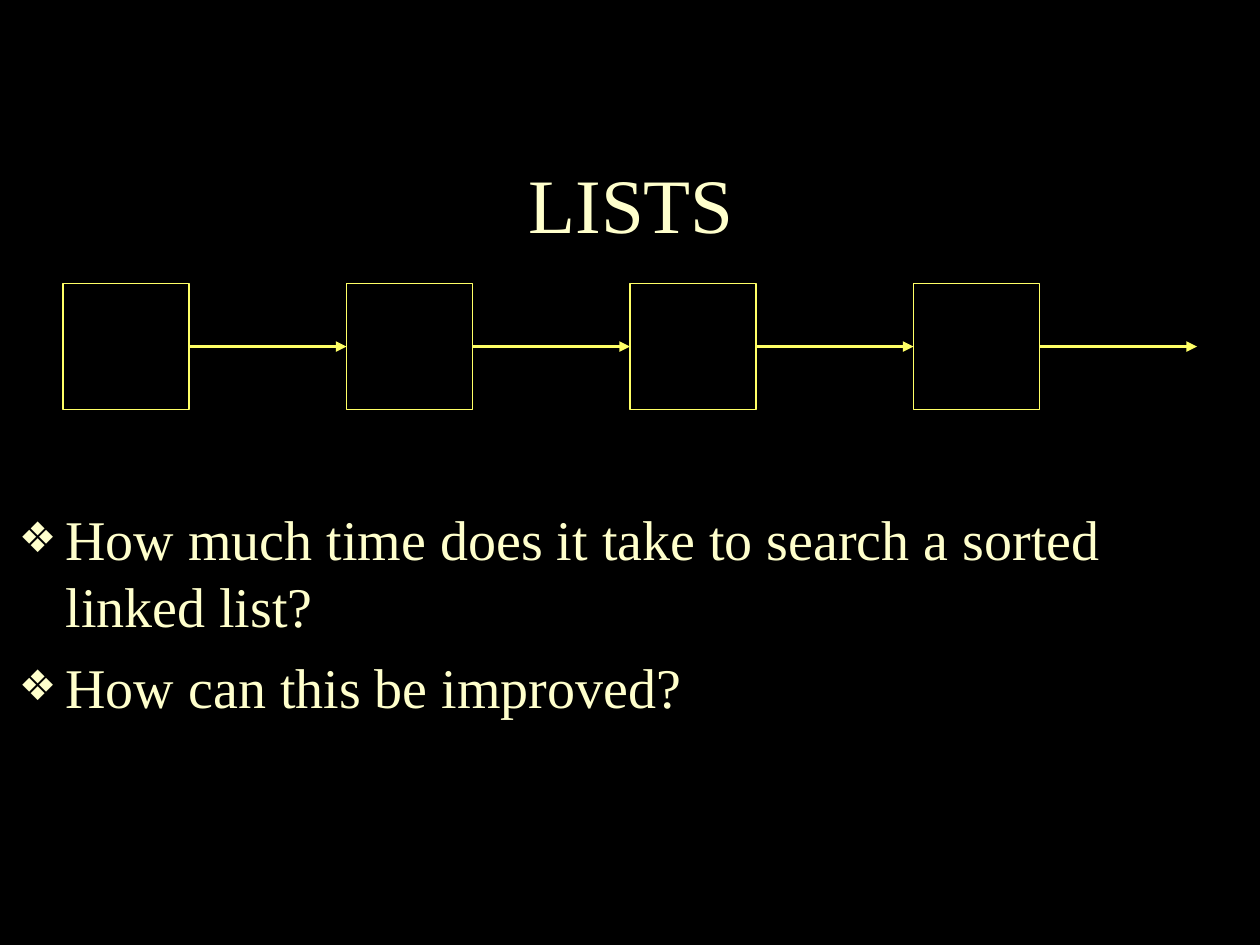
import pptx
import pptx.util
import pptx.dml.color
import pptx.enum.shapes
import pptx.enum.text
import pptx.oxml
import pptx.oxml.ns
from lxml import etree

Pt = pptx.util.Pt
FONT = "Times New Roman"
HUES = {"back": "000000", "text": "FFFFCC", "line": "FFFF66"}
SIDE, GAP = 72, 90  # node size and arrow length
LEFT, TOP, COUNT = 36, 162, 4


def hue(name):
    return pptx.dml.color.RGBColor.from_string(HUES[name])


def add_xml(parent, tag, **attrs):
    return etree.SubElement(parent, pptx.oxml.ns.qn(tag), attrs)


def fill_text(holder, box, lines, size, anchor):
    """Place a placeholder and write its paragraphs."""
    holder.left, holder.top, holder.width, holder.height = map(Pt, box)
    frame = holder.text_frame
    frame.text = "\n".join(lines)
    frame.word_wrap = True
    frame.auto_size = pptx.enum.text.MSO_AUTO_SIZE.NONE
    frame.vertical_anchor = anchor
    frame.margin_left = frame.margin_right = 0
    frame.margin_top = frame.margin_bottom = 0
    for para in frame.paragraphs:
        para.font.name = FONT
        para.font.size = Pt(size)
        para.font.color.rgb = hue("text")
    return frame.paragraphs


def add_bullet(para):
    """Give a paragraph a hanging diamond bullet."""
    para.space_before = Pt(8)
    props = para._p.get_or_add_pPr()
    props.set("marL", str(Pt(26.64)))
    props.set("indent", str(-Pt(26.64)))
    add_xml(add_xml(props, "a:buClr"), "a:srgbClr", val=HUES["text"])
    add_xml(props, "a:buSzPct", val="75000")
    add_xml(props, "a:buChar", char="❖")


def add_node(slide, left):
    """Draw one empty list node."""
    kind = pptx.enum.shapes.MSO_SHAPE.RECTANGLE
    node = slide.shapes.add_shape(kind, Pt(left), Pt(TOP), Pt(SIDE), Pt(SIDE))
    node.shadow.inherit = False
    node.fill.background()
    node.line.color.rgb = hue("line")
    node.line.width = Pt(0)


def add_arrow(slide, left):
    """Draw one link to the next node."""
    kind = pptx.enum.shapes.MSO_CONNECTOR.STRAIGHT
    mid = Pt(TOP + SIDE / 2)
    link = slide.shapes.add_connector(kind, Pt(left), mid, Pt(left + GAP), mid)
    link.line.color.rgb = hue("line")
    link.line.width = Pt(0)
    add_xml(link.line._get_or_add_ln(), "a:tailEnd", type="triangle")
    add_xml(link._element.spPr, "a:effectLst")


def main():
    deck = pptx.Presentation()
    deck.slide_width, deck.slide_height = Pt(720), Pt(540)
    slide = deck.slides.add_slide(deck.slide_layouts[1])
    slide.background.fill.solid()
    slide.background.fill.fore_color.rgb = hue("back")

    # Title and questions
    anchor = pptx.enum.text.MSO_ANCHOR
    title = fill_text(slide.shapes.title, (10.8, 73.44, 699.84, 84.24),
                      ["LISTS"], 44, anchor.MIDDLE)
    title[0].alignment = pptx.enum.text.PP_ALIGN.CENTER
    asks = ["How much time does it take to search a sorted linked list?",
            "How can this be improved?"]
    for para in fill_text(slide.placeholders[1], (10.8, 288, 700.56, 228.24),
                          asks, 32, anchor.TOP):
        add_bullet(para)

    # Linked list
    for step in range(COUNT):
        left = LEFT + step * (SIDE + GAP)
        add_node(slide, left)
        add_arrow(slide, left + SIDE)

    deck.save("out.pptx")


main()
